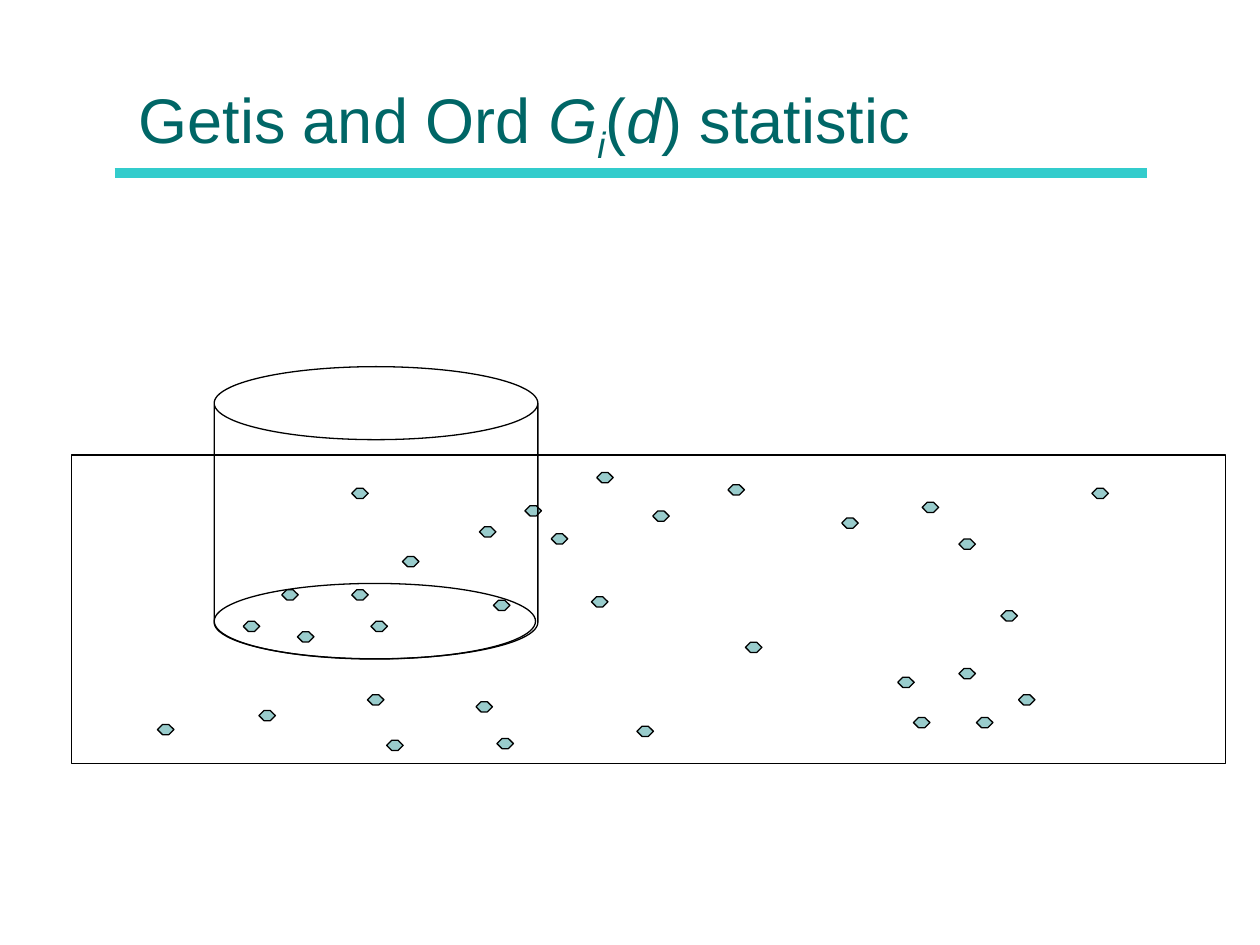
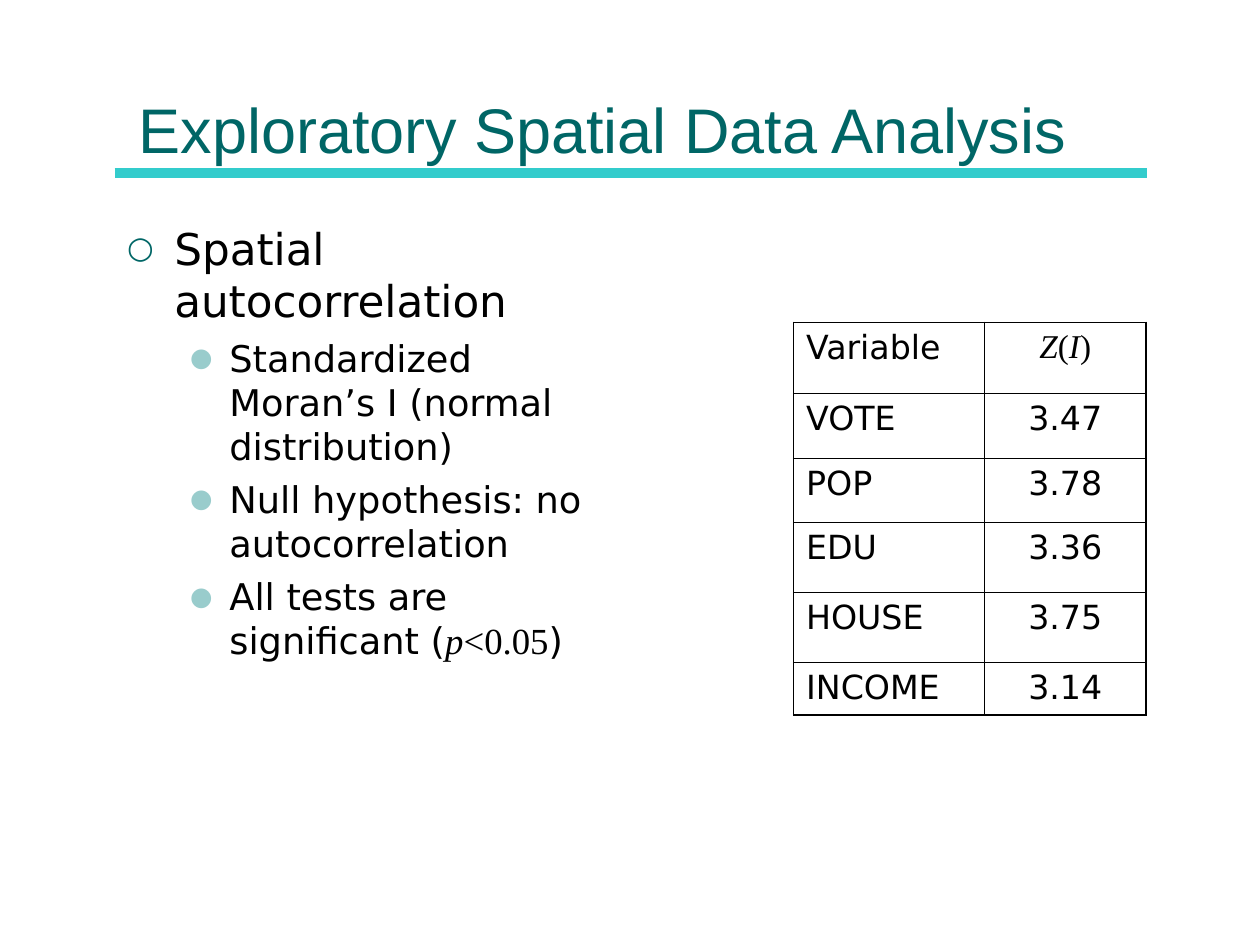
from lxml import etree
from pptx import Presentation
from pptx.dml.color import RGBColor
from pptx.enum import shapes, text
from pptx.oxml import ns
from pptx.util import Pt

COLORS = {"title": "006666", "band": "33CCCC", "dot": "99CCCC", "ink": "000000"}
SANS, BODY, MATH = "Arial", "DejaVu Sans", "Times New Roman"

STATISTIC_TITLE = [("Getis and Ord ", ""), ("G", "italic"), ("i", "italic sub"),
                   ("(", ""), ("d", "italic"), (") statistic", "")]
ANALYSIS_TITLE = [("Exploratory Spatial Data Analysis", "")]

STUDY_AREA = (41, 260, 659.5, 176.4)
CYLINDER = (122.4, 209.5, 185, 167)
CYLINDER_BASE = (122.4, 333.4, 183.6, 43.2)
DOT_SIZE = (9.4, 5.8)
DOTS = [
    (282, 343), (522, 410), (513, 387), (274, 301), (548, 308), (139, 355),
    (170, 361), (315, 305), (527, 287), (201, 279), (572, 349), (624, 279),
    (548, 382), (481, 296), (272, 401), (148, 406), (90, 414), (558, 410),
    (161, 337), (341, 270), (338, 341), (416, 277), (221, 423), (364, 415),
    (426, 367), (582, 397), (230, 318), (300, 289), (210, 397), (212, 355),
    (201, 337), (284, 422), (373, 292),
]

FINDINGS = [
    (0, [("Spatial autocorrelation", "")]),
    (1, [("Standardized Moran’s I (normal distribution)", "")]),
    (1, [("Null hypothesis: no autocorrelation", "")]),
    (1, [("All tests are significant (", ""), ("p", "italic math"),
         ("<0.05", "math"), (")", "")]),
]
LEVELS = [
    {"size": 25, "before": 6.2, "left": 27, "hang": 27, "bullet": "○", "color": "title"},
    {"size": 21, "before": 5.2, "left": 58.5, "hang": 22.5, "bullet": "●", "color": "dot"},
]

SCORES = [
    ([("Variable", "")], [("Z", "italic math"), ("(", "math"), ("I", "italic math"), (")", "math")]),
    ([("VOTE", "")], [("3.47", "")]),
    ([("POP", "")], [("3.78", "")]),
    ([("EDU", "")], [("3.36", "")]),
    ([("HOUSE", "")], [("3.75", "")]),
    ([("INCOME", "")], [("3.14", "")]),
]
COLUMN_WIDTHS = [109, 92.5]
ROW_HEIGHTS = [40.5, 37, 36.5, 40.5, 40, 30]


def rgb(name):
    return RGBColor.from_string(COLORS[name])


def write(para, spans, size, font, color="ink"):
    for words, style in spans:
        span = para.add_run()
        span.text = words
        span.font.size = Pt(size)
        span.font.name = MATH if "math" in style else font
        span.font.italic = "italic" in style
        span.font.color.rgb = rgb(color)
        if "sub" in style:
            span._r.get_or_add_rPr().set("baseline", "-25000")


def add_page(deck, title):
    page = deck.slides.add_slide(deck.slide_layouts[5])
    band = page.shapes.add_connector(shapes.MSO_CONNECTOR.STRAIGHT, Pt(65.5), Pt(98.8), Pt(655.5), Pt(98.8))
    band.line.color.rgb = rgb("band")
    band.line.width = Pt(6)
    etree.SubElement(band.element.spPr, ns.qn("a:effectLst"))
    page.shapes.element.insert(2, band.element)

    box = page.shapes.title
    box.left, box.top, box.width, box.height = Pt(72), Pt(8.6), Pt(576), Pt(90)
    frame = box.text_frame
    frame.auto_size = text.MSO_AUTO_SIZE.NONE
    frame.vertical_anchor = text.MSO_ANCHOR.BOTTOM
    frame.paragraphs[0].alignment = text.PP_ALIGN.LEFT
    write(frame.paragraphs[0], title, 36, SANS, "title")
    return page


def add_outline(parent, kind, place, adjust=None, fill=None):
    shape = parent.add_shape(kind, *map(Pt, place))
    shape.shadow.inherit = False
    if adjust is not None:
        shape.adjustments[0] = adjust
    if fill:
        shape.fill.solid()
        shape.fill.fore_color.rgb = rgb(fill)
    else:
        shape.fill.background()
    shape.line.color.rgb = rgb("ink")
    shape.line.width = Pt(0.75)


def add_bullet(para, level):
    props = para._p.get_or_add_pPr()
    props.set("marL", str(Pt(level["left"])))
    props.set("indent", str(-Pt(level["hang"])))
    color = etree.SubElement(props, ns.qn("a:buClr"))
    etree.SubElement(color, ns.qn("a:srgbClr"), val=COLORS[level["color"]])
    etree.SubElement(props, ns.qn("a:buSzPct"), val="70000")
    etree.SubElement(props, ns.qn("a:buFont"), typeface=BODY)
    etree.SubElement(props, ns.qn("a:buChar"), char=level["bullet"])


def add_findings(page):
    box = page.shapes.add_textbox(Pt(65.5), Pt(123), Pt(289.5), Pt(324))
    frame = box.text_frame
    frame.word_wrap = True
    for index, (depth, spans) in enumerate(FINDINGS):
        level = LEVELS[depth]
        para = frame.add_paragraph() if index else frame.paragraphs[0]
        para.level = depth
        add_bullet(para, level)
        if index:
            para.space_before = Pt(level["before"])
        write(para, spans, level["size"], BODY)


def add_borders(cell, widths):
    props = cell._tc.get_or_add_tcPr()
    for side, width in zip("LRTB", widths):
        line = etree.SubElement(props, ns.qn("a:ln" + side), w=str(Pt(width)))
        fill = etree.SubElement(line, ns.qn("a:solidFill"))
        etree.SubElement(fill, ns.qn("a:srgbClr"), val=COLORS["ink"])


def add_scores(page):
    rows, columns = len(SCORES), len(COLUMN_WIDTHS)
    table = page.shapes.add_table(rows, columns, Pt(453.5), Pt(184.3),
                                  Pt(sum(COLUMN_WIDTHS)), Pt(sum(ROW_HEIGHTS))).table
    table.first_row = table.horz_banding = False
    for column, width in zip(table.columns, COLUMN_WIDTHS):
        column.width = Pt(width)
    for r, (row, height) in enumerate(zip(table.rows, ROW_HEIGHTS)):
        row.height = Pt(height)
        for c, cell in enumerate(row.cells):
            outer = (c == 0, c == columns - 1, r == 0, r == rows - 1)
            add_borders(cell, [1.08 if edge else 0.45 for edge in outer])
            cell.fill.background()
            para = cell.text_frame.paragraphs[0]
            para.alignment = text.PP_ALIGN.CENTER if c else text.PP_ALIGN.LEFT
            write(para, SCORES[r][c], 19, BODY)


def main():
    deck = Presentation()
    deck.slide_width, deck.slide_height = Pt(720), Pt(540)

    page = add_page(deck, STATISTIC_TITLE)
    kinds = shapes.MSO_SHAPE
    add_outline(page.shapes, kinds.PARALLELOGRAM, STUDY_AREA, -0.489)
    for dot in DOTS:
        add_outline(page.shapes, kinds.OCTAGON, dot + DOT_SIZE, 0.5, "dot")
    cylinder = page.shapes.add_group_shape()
    add_outline(cylinder.shapes, kinds.CAN, CYLINDER, 0.25)
    add_outline(cylinder.shapes, kinds.OVAL, CYLINDER_BASE)

    page = add_page(deck, ANALYSIS_TITLE)
    add_findings(page)
    add_scores(page)
    deck.save("out.pptx")


if __name__ == "__main__":
    main()
